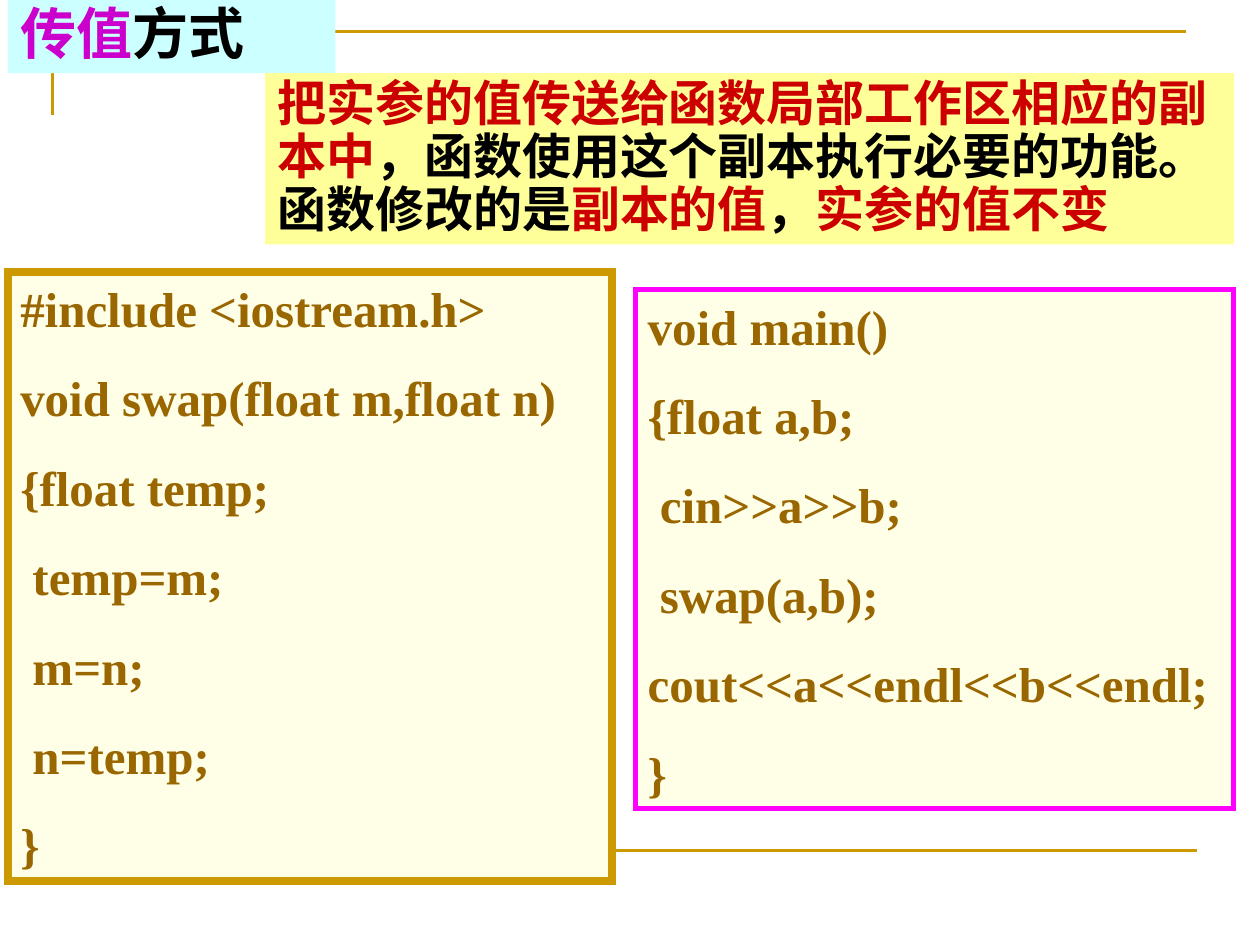
from dataclasses import dataclass
from lxml.etree import SubElement as Sub
from pptx import Presentation
from pptx.dml.color import RGBColor as Color
from pptx.enum.shapes import MSO_CONNECTOR as Link, MSO_SHAPE as Kind
from pptx.enum.text import MSO_ANCHOR as Anchor, MSO_AUTO_SIZE as Fit, PP_ALIGN as Align
from pptx.oxml.ns import qn
from pptx.util import Pt


@dataclass(frozen=True)
class Theme:
    """Colours, fonts and type sizes of the slide."""
    gold: str = "CC9900"
    pink: str = "FF00FF"
    cream: str = "FFFFE7"
    cyan: str = "CCFFFF"
    yellow: str = "FFFF99"
    brown: str = "996600"
    purple: str = "CC00CC"
    red: str = "CC0000"
    black: str = "000000"
    latin: str = "Times New Roman"
    han: str = "Noto Sans CJK SC"
    head: int = 32
    text: int = 28


T = Theme()
LEFT = ["#include <iostream.h>", "void swap(float m,float n)", "{float temp;",
        " temp=m;", " m=n;", " n=temp;", "}"]
RIGHT = ["void main()", "{float a,b;", " cin>>a>>b;", " swap(a,b);",
         "cout<<a<<endl<<b<<endl;", "}"]
TITLE = [("传值", T.purple), ("方式", T.black)]
NOTE = [("把实参的值传送给函数局部工作区相应的副本中", T.red),
        ("，函数使用这个副本执行必要的功能。函数修改的是", T.black),
        ("副本的值", T.red), ("，", T.black), ("实参的值不变", T.red)]


def place(shape, box):
    """Move a shape to a box of left, top, width and height."""
    shape.left, shape.top, shape.width, shape.height = map(Pt, box)


def paint(shape, fill):
    """Give a shape a plain fill."""
    shape.fill.solid()
    shape.fill.fore_color.rgb = Color.from_string(fill)


def ink(shape, color, width):
    """Style a line or an outline, with sharp corners."""
    line = shape.line
    line.color.rgb = Color.from_string(color)
    line.width = Pt(width)
    Sub(shape._element.spPr.find(qn("a:ln")), qn("a:miter")).set("lim", "800000")


def style(run, face, size, color):
    """Set the font of a run in both scripts."""
    font = run.font
    font.name, font.size, font.bold = face, Pt(size), True
    font.color.rgb = Color.from_string(color)
    Sub(run._r.get_or_add_rPr(), qn("a:ea")).set("typeface", face)


def setup(shape):
    """Prepare the text frame of a shape."""
    frame = shape.text_frame
    frame.word_wrap, frame.auto_size = True, Fit.NONE
    frame.vertical_anchor = Anchor.TOP
    frame.margin_left = frame.margin_right = Pt(7.2)
    frame.margin_top = frame.margin_bottom = Pt(3.6)
    return frame


def frame_lines(slide, box):
    """Draw the corner line and the foot line around the page."""
    x, y, w, h = box
    path = slide.shapes.build_freeform(Pt(x), Pt(y + 48))
    path.add_line_segments([(Pt(x), Pt(y)), (Pt(x + w), Pt(y))], close=False)
    edge = path.convert_to_shape()
    edge.fill.background()
    edge.shadow.inherit = False
    foot = slide.shapes.add_connector(
        Link.STRAIGHT, Pt(x + 6), Pt(y + h), Pt(x + w + 6), Pt(y + h))
    for item in (edge, foot):
        ink(item, T.gold, 1.5)
    Sub(foot._element.spPr, qn("a:effectLst"))


def code_box(slide, box, lines, color, width):
    """Draw an outlined box of code."""
    shape = slide.shapes.add_shape(Kind.RECTANGLE, 0, 0, 0, 0)
    place(shape, box)
    shape.shadow.inherit = False
    paint(shape, T.cream)
    ink(shape, color, width)
    frame = setup(shape)
    frame.text = "\n".join(lines)
    for i, para in enumerate(frame.paragraphs):
        para.alignment = Align.LEFT
        para.space_before = Pt(17.5 if i else 0)
        style(para.runs[0], T.latin, T.text, T.brown)


def banner(shape, box, parts, fill, size):
    """Fill a shape with one paragraph of coloured parts."""
    place(shape, box)
    paint(shape, fill)
    para = setup(shape).paragraphs[0]
    para.alignment, para.line_spacing = Align.LEFT, 0.9
    para.space_before = Pt(0)
    for text, color in parts:
        run = para.add_run()
        run.text = text
        style(run, T.han, size, color)


def main():
    """Build and save the slide."""
    deck = Presentation()
    deck.slide_width, deck.slide_height = Pt(720), Pt(540)
    slide = deck.slides.add_slide(deck.slide_layouts[5])
    shapes = slide.shapes
    title = shapes.title
    frame_lines(slide, (30, 18, 648, 468))
    code_box(slide, (363, 165.6, 342, 296.6), RIGHT, T.pink, 3)
    code_box(slide, (4.5, 155.5, 345, 347.8), LEFT, T.gold, 4.5)
    shapes._spTree.append(title._element)
    banner(title, (4.5, 0, 187.2, 41.8), TITLE, T.cyan, T.head)
    note = shapes.add_textbox(0, 0, 0, 0)
    banner(note, (151.5, 41.8, 553.7, 97.9), NOTE, T.yellow, T.text)
    deck.save("out.pptx")


if __name__ == "__main__":
    main()
